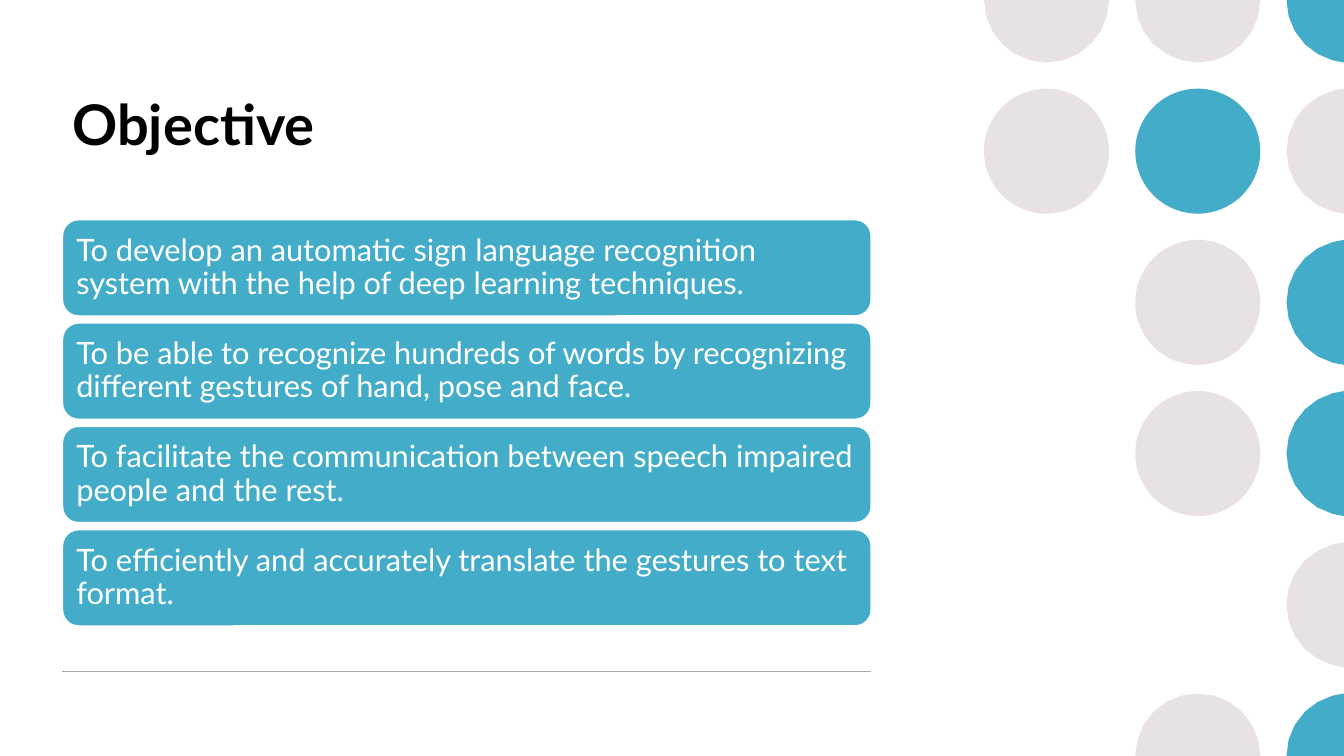
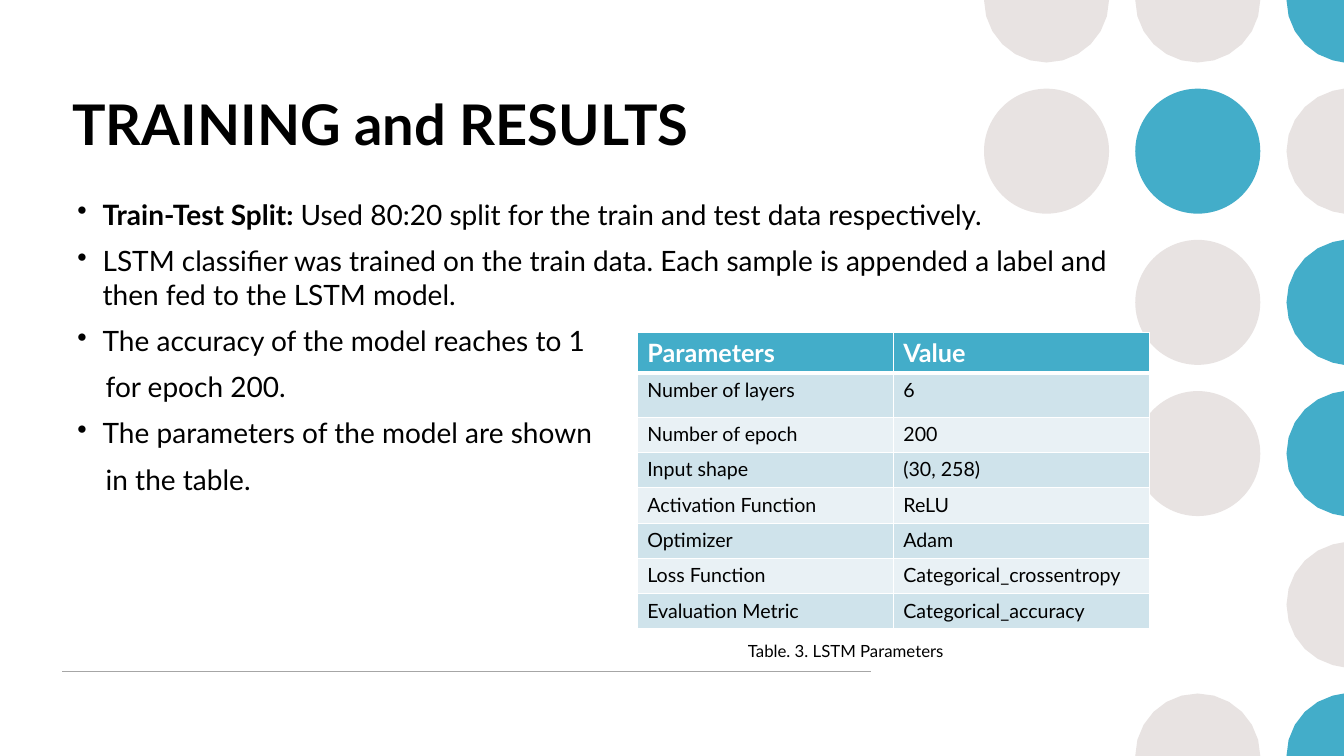
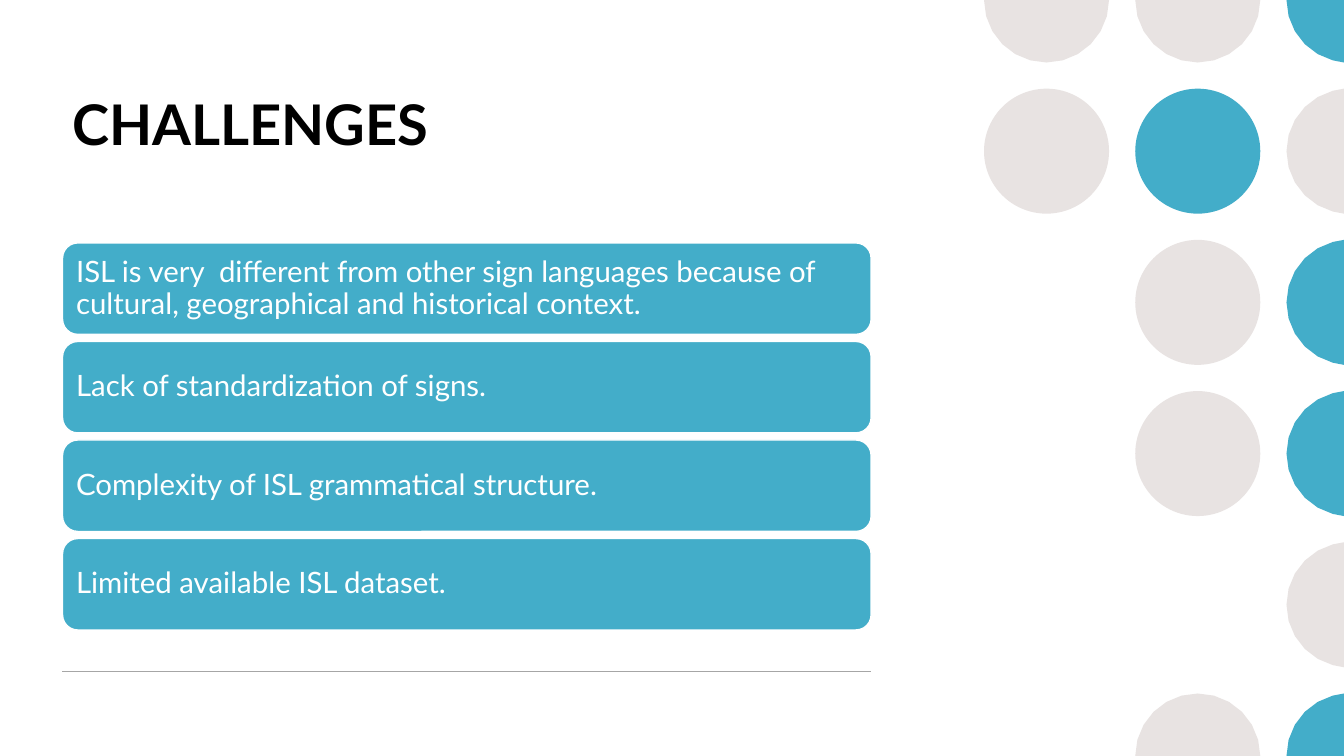
import math

from lxml import etree
from pptx import Presentation
from pptx.dml.color import RGBColor
from pptx.enum import shapes, text
from pptx.oxml import ns
from pptx.util import Inches, Pt

COLORS = {
    "teal": "43ADC9",
    "blush": "E8E3E2",
    "rule": "A6A6A6",
    "band_dark": "CFE3EB",
    "band_light": "E9F1F5",
    "white": "FFFFFF",
    "black": "000000",
}
FONT = "Lato"
WIDTH, HEIGHT = 13.33, 7.5
LEFT, CONTENT_WIDTH = 0.62, 8.02

DOT_RADIUS = 0.62
DOT_X, DOT_PITCH = 10.38, 1.5
# One string per row of dots: t = teal, b = blush, - = none
DOT_ROWS = ["bbt", "btb", "-bt", "-bt", "--b", "-bt"]
DOT_COLORS = {"t": "teal", "b": "blush"}

OBJECTIVES = [
    "To develop an automatic sign language recognition system with the help of deep learning techniques.",
    "To be able to recognize hundreds of words by recognizing different gestures of hand, pose and face.",
    "To facilitate the communication between speech impaired people and the rest.",
    "To efficiently and accurately translate the gestures to text format.",
]
CHALLENGES = [
    "ISL is very  different from other sign languages because of cultural, geographical and historical context.",
    "Lack of standardization of signs.",
    "Complexity of ISL grammatical structure.",
    "Limited available ISL dataset.",
]
# (has bullet, bold lead, text)
TRAINING_NOTES = [
    (True, "Train-Test Split: ", "Used 80:20 split for the train and test data respectively."),
    (True, "", "LSTM classifier was trained on the train data. "
               "Each sample is appended a label and then fed to the LSTM model."),
    (True, "", "The accuracy of the model reaches to 1"),
    (False, "", "for epoch 200."),
    (True, "", "The parameters of the model are shown"),
    (False, "", "in the table."),
]
PARAMETERS = [
    ("Parameters", "Value"),
    ("Number of layers", "6"),
    ("Number of epoch", "200"),
    ("Input shape", "(30, 258)"),
    ("Activation Function", "ReLU"),
    ("Optimizer", "Adam"),
    ("Loss Function", "Categorical_crossentropy"),
    ("Evaluation Metric", "Categorical_accuracy"),
]


def color(name):
    return RGBColor.from_string(COLORS[name])


def set_font(paragraph, size, color_name="black", bold=False):
    font = paragraph.font
    font.name, font.size, font.bold = FONT, Pt(size), bold
    font.color.rgb = color(color_name)


def paint(shape, fill, line=None):
    shape.shadow.inherit = False
    shape.fill.solid()
    shape.fill.fore_color.rgb = color(fill)
    if line:
        shape.line.color.rgb = color(line)
        shape.line.width = Pt(1)
    else:
        shape.line.fill.background()


def add_text_frame(slide, left, top, width, height):
    box = slide.shapes.add_textbox(Inches(left), Inches(top), Inches(width), Inches(height))
    box.text_frame.word_wrap = True
    return box.text_frame


def add_label(slide, content, left, top, width, height, size, bold=False):
    paragraph = add_text_frame(slide, left, top, width, height).paragraphs[0]
    paragraph.text = content
    set_font(paragraph, size, bold=bold)


def cut_dot_outline(x, y):
    """Return the outline of a dot that the slide edges cut about in half."""
    cut_right = x + DOT_RADIUS > WIDTH
    cut_top, cut_bottom = y < DOT_RADIUS, y > HEIGHT - DOT_RADIUS
    start = 180 if cut_bottom else (90 if cut_right else 0)
    end = 180 if cut_top else (270 if cut_right else 360)
    points = []
    for degree in range(start, end + 1, 15):
        angle = math.radians(degree)
        points.append((min(x + DOT_RADIUS * math.cos(angle), WIDTH),
                       y + DOT_RADIUS * math.sin(angle)))
    if cut_right and (cut_top or cut_bottom):
        points.append((WIDTH, y))
    return [(Inches(px), Inches(py)) for px, py in points]


def add_dot(slide, x, y, fill):
    """Draw a circle centred on (x, y), cut off at the slide edges."""
    r = DOT_RADIUS
    if x + r <= WIDTH and r <= y <= HEIGHT - r:
        shape = slide.shapes.add_shape(
            shapes.MSO_SHAPE.OVAL, Inches(x - r), Inches(y - r), Inches(2 * r), Inches(2 * r))
    else:
        points = cut_dot_outline(x, y)
        builder = slide.shapes.build_freeform(*points[0])
        builder.add_line_segments(points[1:], close=True)
        shape = builder.convert_to_shape()
    paint(shape, fill)


def add_base_slide(presentation, title):
    """Add a blank slide with the dots, the bottom rule and the title."""
    slide = presentation.slides.add_slide(presentation.slide_layouts[6])
    for row, pattern in enumerate(DOT_ROWS):
        for column, code in enumerate(pattern):
            if code in DOT_COLORS:
                add_dot(slide, DOT_X + column * DOT_PITCH, row * DOT_PITCH, DOT_COLORS[code])
    rule = slide.shapes.add_connector(
        shapes.MSO_CONNECTOR.STRAIGHT,
        Inches(LEFT), Inches(6.66), Inches(LEFT + CONTENT_WIDTH), Inches(6.66))
    rule.line.color.rgb = color("rule")
    rule.line.width = Pt(1)
    etree.SubElement(rule._element.spPr, ns.qn("a:effectLst"))
    add_label(slide, title, LEFT, 0.84, 10.06, 1.39, 40, bold=True)
    return slide


def add_cards(slide, items, top, bottom, size, gap=0.07):
    """Stack one rounded card per item between top and bottom."""
    height = (bottom - top - gap * (len(items) - 1)) / len(items)
    for index, item in enumerate(items):
        card = slide.shapes.add_shape(
            shapes.MSO_SHAPE.ROUNDED_RECTANGLE, Inches(LEFT),
            Inches(top + index * (height + gap)), Inches(CONTENT_WIDTH), Inches(height))
        paint(card, "teal", "white")
        frame = card.text_frame
        frame.word_wrap = True
        frame.vertical_anchor = text.MSO_ANCHOR.MIDDLE
        frame.margin_left = frame.margin_right = Inches(0.09)
        frame.margin_top = frame.margin_bottom = Inches(0.09)
        paragraph = frame.paragraphs[0]
        paragraph.text = item
        paragraph.alignment = text.PP_ALIGN.LEFT
        paragraph.line_spacing = 0.9
        set_font(paragraph, size, "white")


def set_indent(paragraph, bullet):
    properties = paragraph._p.get_or_add_pPr()
    properties.set("marL", str(Inches(0.25 if bullet else 0.28)))
    properties.set("indent", str(Inches(-0.25 if bullet else 0)))
    if bullet:
        etree.SubElement(properties, ns.qn("a:buChar")).set("char", "•")


def add_notes_list(slide, notes):
    frame = add_text_frame(slide, 0.67, 1.91, 10.73, 4.4)
    for index, (bullet, lead, content) in enumerate(notes):
        paragraph = frame.add_paragraph() if index else frame.paragraphs[0]
        set_indent(paragraph, bullet)
        if index:
            paragraph.space_before = Pt(9)
        set_font(paragraph, 20)
        if lead:
            run = paragraph.add_run()
            run.text = lead
            run.font.bold = True
        paragraph.add_run().text = content


def set_borders(cell, top, bottom):
    """Give a cell white borders, with the top and bottom widths in points."""
    properties = cell._tc.get_or_add_tcPr()
    sides = [("lnL", 1), ("lnR", 1), ("lnT", top), ("lnB", bottom)]
    for position, (side, width) in enumerate(sides):
        line = etree.Element(ns.qn("a:" + side), w=str(Pt(width)))
        fill = etree.SubElement(line, ns.qn("a:solidFill"))
        etree.SubElement(fill, ns.qn("a:srgbClr")).set("val", COLORS["white"])
        properties.insert(position, line)


def add_parameter_table(slide, rows):
    heights = [0.4, 0.44] + [0.35] * (len(rows) - 2)
    table = slide.shapes.add_table(
        len(rows), 2, Inches(6.32), Inches(3.3), Inches(5.08), Inches(sum(heights))).table
    table.horz_banding = False
    for row, values in enumerate(rows):
        table.rows[row].height = Inches(heights[row])
        header = row == 0
        fill = "teal" if header else ("band_dark" if row % 2 else "band_light")
        for column, value in enumerate(values):
            cell = table.cell(row, column)
            cell.fill.solid()
            cell.fill.fore_color.rgb = color(fill)
            set_borders(cell, top=3 if row == 1 else 1, bottom=3 if header else 1)
            paragraph = cell.text_frame.paragraphs[0]
            paragraph.text = value
            set_font(paragraph, 18 if header else 14, "white" if header else "black", header)


def main():
    presentation = Presentation()
    presentation.slide_width = Inches(WIDTH)
    presentation.slide_height = Inches(HEIGHT)

    slide = add_base_slide(presentation, "Objective")
    add_cards(slide, OBJECTIVES, 2.18, 6.21, 22)

    slide = add_base_slide(presentation, "TRAINING and RESULTS")
    add_notes_list(slide, TRAINING_NOTES)
    add_parameter_table(slide, PARAMETERS)
    add_label(slide, "Table. 3. LSTM Parameters", 7.32, 6.31, 2.86, 0.3, 12)

    slide = add_base_slide(presentation, "CHALLENGES")
    add_cards(slide, CHALLENGES, 2.41, 6.25, 21)

    presentation.save("out.pptx")


if __name__ == "__main__":
    main()
